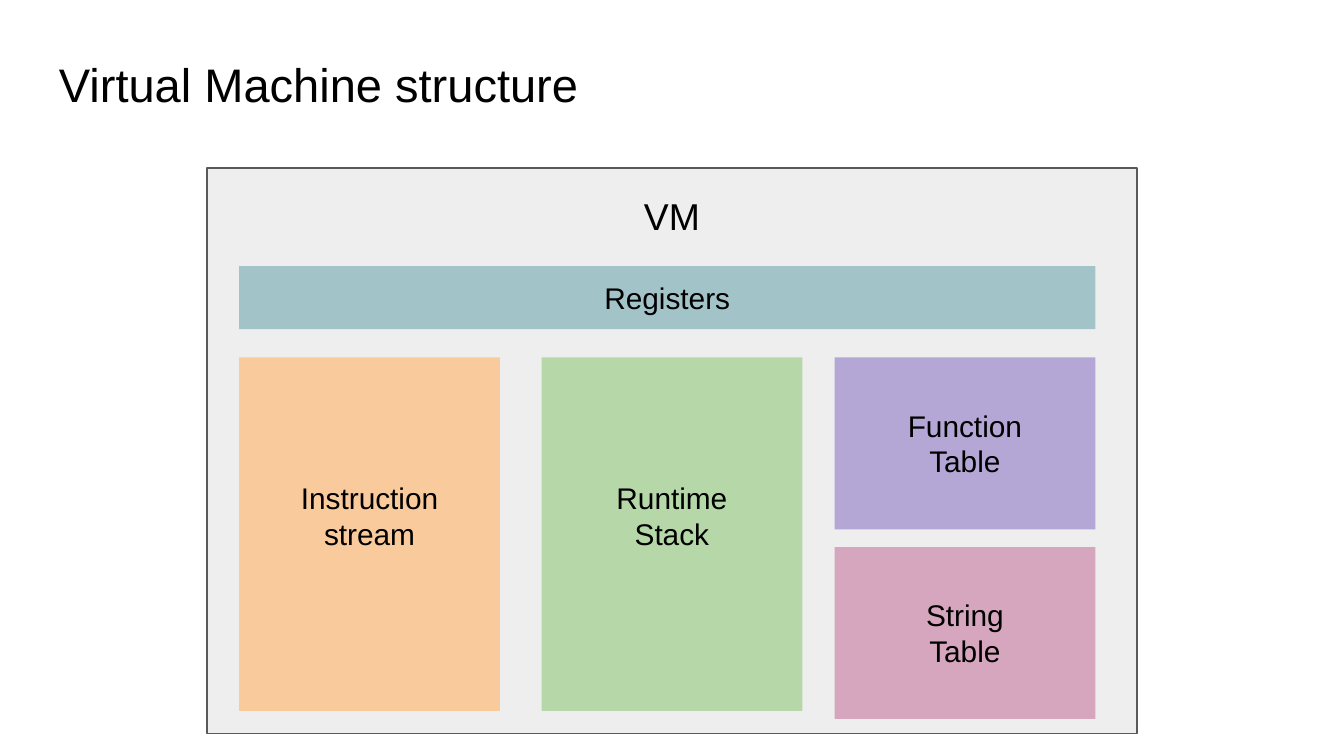
"""Build the Virtual Machine structure slide."""
from pptx import Presentation, util as u
from pptx.dml.color import RGBColor
from pptx.enum import shapes, text


def color(value):
    return RGBColor.from_string(value)


def write(sp, lines, size, align=text.PP_ALIGN.CENTER, drop=0):
    tf = sp.text_frame
    fmt = {
        "word_wrap": True,
        "vertical_anchor": text.MSO_ANCHOR.TOP,
        "margin_left": u.Inches(0.1),
        "margin_right": u.Inches(0.1),
        "margin_top": u.Inches(0.1 + drop),
        "margin_bottom": u.Inches(0.1),
    }
    for name, value in fmt.items():
        setattr(tf, name, value)
    for i, line in enumerate(lines):
        p = tf.paragraphs[0] if i == 0 else tf.add_paragraph()
        p.alignment = align
        r = p.add_run()
        r.text = line
        for name, value in {"name": "Arial", "size": u.Pt(size)}.items():
            setattr(r.font, name, value)
        r.font.color.rgb = color("000000")


prs = Presentation()
prs.slide_width, prs.slide_height = u.Inches(10), u.Inches(10 * 9 / 16)
s = prs.slides.add_slide(prs.slide_layouts[6])

title = s.shapes.add_textbox(*map(u.Inches, (0.34, 0.31, 9.32, 0.63)))
write(title, ["Virtual Machine structure"], 25.2, text.PP_ALIGN.LEFT)

line_height = 0.27
column_width = 1.94
left, middle, right = 1.78, 4.03, 6.21
top = 2.66
boxes = [
    ((1.54, 1.25, 6.92, 4.21), "EEEEEE", [], 0),
    ((left, top, column_width, 2.63), "F9CB9C", ["Instruction stream"], 3),
    ((middle, top, column_width, 2.63), "B6D7A8", ["Runtime", "Stack"], 3),
    ((right, top, column_width, 1.28), "B4A7D6", ["Function", "Table"], 1),
    ((right, 4.07, column_width, 1.28), "D5A6BD", ["String", "Table"], 1),
    ((left, 1.98, right + column_width - left, 0.47), "A2C4C9", ["Registers"], 0),
]
for box, fill, lines, skipped in boxes:
    sp = s.shapes.add_shape(shapes.MSO_SHAPE.RECTANGLE, *map(u.Inches, box))
    sp.shadow.inherit = False
    sp.fill.solid()
    sp.fill.fore_color.rgb = color(fill)
    if lines:
        sp.line.fill.background()
        write(sp, lines, 16, drop=skipped * line_height)
    else:
        sp.line.color.rgb = color("595959")
        sp.line.width = u.Pt(0.75)

label = s.shapes.add_textbox(*map(u.Inches, (1.67, 1.34, 6.66, 0.54)))
write(label, ["VM"], 20)

prs.save("out.pptx")
